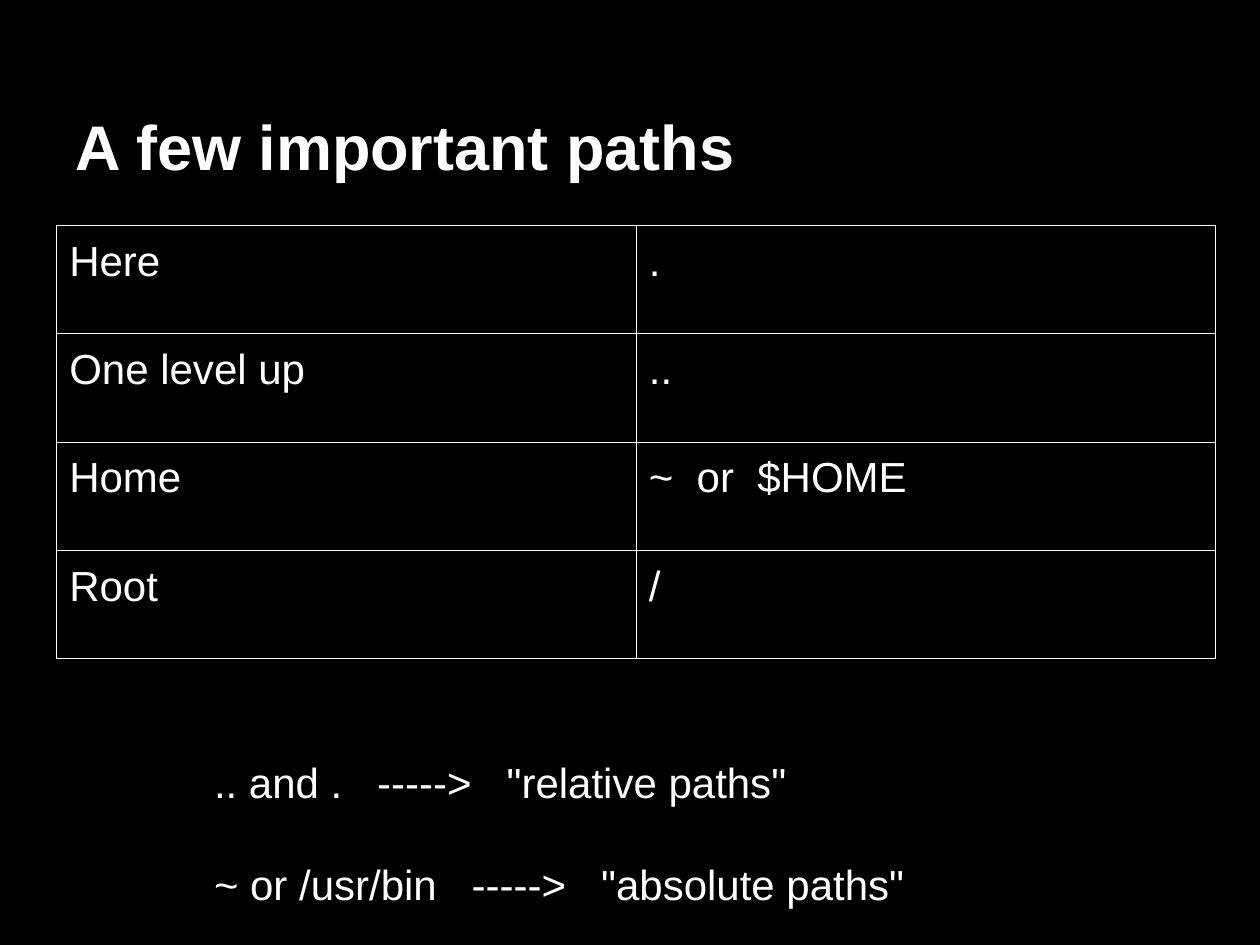
from dataclasses import dataclass

from lxml import etree
from pptx import Presentation
from pptx.dml.color import RGBColor
from pptx.enum.text import MSO_ANCHOR, MSO_AUTO_SIZE, PP_ALIGN
from pptx.oxml.ns import qn
from pptx.util import Inches, Pt

LEFT = PP_ALIGN.LEFT
TOP, BOTTOM = MSO_ANCHOR.TOP, MSO_ANCHOR.BOTTOM
NO_FIT = MSO_AUTO_SIZE.NONE
TITLE_ONLY = 5


@dataclass(frozen=True)
class Theme:
    font: str = "Arial"
    background: str = "000000"
    ink: str = "FFFFFF"
    title_size: int = 36
    body_size: int = 24
    border_width: float = 0.75
    inset: float = 0.1


class Deck:
    def __init__(self, theme):
        self.theme = theme
        self.presentation = Presentation()
        self.presentation.slide_width = Inches(10)
        self.presentation.slide_height = Inches(7.5)
        self.slide = None

    def add_slide(self):
        layout = self.presentation.slide_layouts[TITLE_ONLY]
        self.slide = self.presentation.slides.add_slide(layout)
        fill = self.slide.background.fill
        fill.solid()
        fill.fore_color.rgb = RGBColor.from_string(self.theme.background)

    def add_text_run(self, paragraph, text, size, bold=False):
        paragraph.alignment = LEFT
        run = paragraph.add_run()
        run.text = text
        run.font.name = self.theme.font
        run.font.size = Pt(size)
        run.font.bold = bold
        run.font.color.rgb = RGBColor.from_string(self.theme.ink)

    def set_margins(self, container):
        inset = Inches(self.theme.inset)
        container.margin_left = container.margin_right = inset
        container.margin_top = container.margin_bottom = inset

    def prepare_frame(self, frame, anchor):
        self.set_margins(frame)
        frame.word_wrap = True
        frame.auto_size = NO_FIT
        frame.vertical_anchor = anchor

    def title(self, text, left, top, width, height):
        heading = self.slide.shapes.title
        heading.left, heading.top = Inches(left), Inches(top)
        heading.width, heading.height = Inches(width), Inches(height)
        self.prepare_frame(heading.text_frame, BOTTOM)
        self.add_text_run(heading.text_frame.paragraphs[0], text,
                          self.theme.title_size, bold=True)

    def border(self, cell):
        properties = cell._tc.get_or_add_tcPr()
        for side in ("lnL", "lnR", "lnT", "lnB"):
            line = etree.SubElement(properties, qn(f"a:{side}"),
                                    w=str(Pt(self.theme.border_width)))
            paint = etree.SubElement(line, qn("a:solidFill"))
            etree.SubElement(paint, qn("a:srgbClr"), val=self.theme.ink)

    def table(self, rows, left, top, column_width, row_height):
        columns = len(rows[0])
        grid = self.slide.shapes.add_table(
            len(rows), columns, Inches(left), Inches(top),
            Inches(column_width * columns),
            Inches(row_height * len(rows))).table
        grid.first_row = grid.horz_banding = False
        for r, row in enumerate(rows):
            for c, text in enumerate(row):
                cell = grid.cell(r, c)
                self.set_margins(cell)
                cell.vertical_anchor = TOP
                self.border(cell)
                cell.fill.background()
                self.add_text_run(cell.text_frame.paragraphs[0], text,
                                  self.theme.body_size)

    def text(self, lines, left, top, width, height, gap):
        frame = self.slide.shapes.add_textbox(
            Inches(left), Inches(top), Inches(width),
            Inches(height)).text_frame
        self.prepare_frame(frame, TOP)
        for index, line in enumerate(lines):
            paragraph = frame.add_paragraph() if index else frame.paragraphs[0]
            if index:
                paragraph.space_before = Pt(gap)
            self.add_text_run(paragraph, line, self.theme.body_size)


def main():
    deck = Deck(Theme())
    deck.add_slide()
    deck.title("A few important paths", 0.5, 0.3, 9, 1.25)
    deck.table([("Here", "."),
                ("One level up", ".."),
                ("Home", "~  or  $HOME"),
                ("Root", "/")],
               left=0.45, top=1.79, column_width=4.6, row_height=0.86)
    deck.text(['.. and .   ----->   "relative paths"',
               '~ or /usr/bin   ----->   "absolute paths"'],
              1.6, 5.9, 6.11, 1.39, gap=30)
    deck.presentation.save("out.pptx")


if __name__ == "__main__":
    main()
